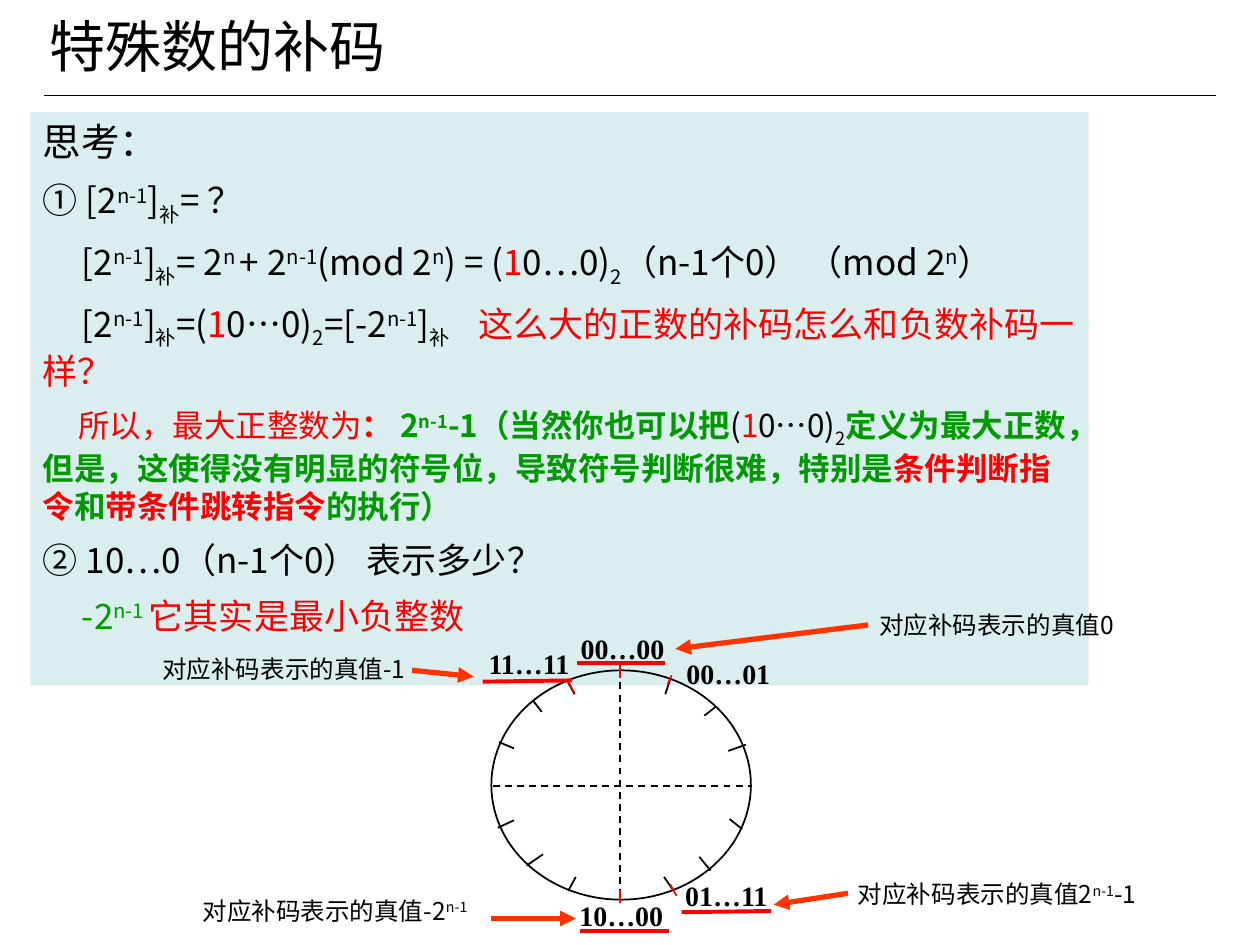
from typing import NamedTuple

from lxml.etree import SubElement
from pptx import Presentation
from pptx.dml.color import RGBColor
from pptx.enum.dml import MSO_LINE
from pptx.enum.shapes import MSO_CONNECTOR, MSO_SHAPE
from pptx.enum.text import MSO_ANCHOR, MSO_AUTO_SIZE, PP_ALIGN
from pptx.oxml.ns import qn
from pptx.util import Inches, Pt

BLACK = RGBColor(0x00, 0x00, 0x00)
WHITE = RGBColor(0xFF, 0xFF, 0xFF)
RED = RGBColor(0xFF, 0x00, 0x00)
ORANGE = RGBColor(0xFF, 0x33, 0x00)
GREEN = RGBColor(0x00, 0x99, 0x00)
PALE = RGBColor(0xDA, 0xED, 0xEF)
SANS, SERIF = "Noto Sans CJK SC", "Times New Roman"
SUP, SUB = 30, -25


class Run(NamedTuple):
    text: str
    color: RGBColor = BLACK
    base: int = 0
    bold: bool = False


class Para(NamedTuple):
    runs: list[Run]
    size: int = 20
    indent: float = 0


class Label(NamedTuple):
    x: float
    y: float
    w: float
    runs: list[Run]


class Line(NamedTuple):
    x1: float
    y1: float
    x2: float
    y2: float


def add_runs(p, runs: list[Run], size: float, face: str = SANS) -> None:
    for item in runs:
        r = p.add_run()
        r.text = item.text
        r.font.size, r.font.name, r.font.bold = Pt(size), face, item.bold
        r.font.color.rgb = item.color
        rPr = r._r.get_or_add_rPr()
        SubElement(rPr, qn("a:ea")).set("typeface", face)
        if item.base:
            rPr.set("baseline", str(item.base * 1000))


def place(sp, x: float, y: float, w: float, h: float) -> None:
    sp.left, sp.top, sp.width, sp.height = map(Inches, (x, y, w, h))


def set_frame(tf, anchor: MSO_ANCHOR, x: float, y: float, wrap: bool = True) -> None:
    tf.auto_size, tf.word_wrap, tf.vertical_anchor = MSO_AUTO_SIZE.NONE, wrap, anchor
    tf.margin_left = tf.margin_right = Inches(x)
    tf.margin_top = tf.margin_bottom = Inches(y)


def add_line(s, line: Line, color: RGBColor, width: float,
             arrow: bool = False, dashed: bool = False) -> None:
    sp = s.shapes.add_connector(MSO_CONNECTOR.STRAIGHT, *map(Inches, line))
    sp.line.color.rgb, sp.line.width = color, Pt(width)
    if dashed:
        sp.line.dash_style = MSO_LINE.DASH
    if arrow:
        SubElement(sp.line._get_or_add_ln(), qn("a:tailEnd")).set("type", "triangle")
    SubElement(sp._element.spPr, qn("a:effectLst"))


def add_label(s, label: Label, h: float, size: float, face: str, wrap: bool) -> None:
    sp = s.shapes.add_textbox(*map(Inches, (label.x, label.y, label.w, h)))
    set_frame(sp.text_frame, MSO_ANCHOR.TOP, 0.1, 0.05, wrap)
    add_runs(sp.text_frame.paragraphs[0], label.runs, size, face)


def add_body(sp, paras: list[Para]) -> None:
    tf = sp.text_frame
    set_frame(tf, MSO_ANCHOR.TOP, 0.1, 0.05)
    for i, para in enumerate(paras):
        p = tf.add_paragraph() if i else tf.paragraphs[0]
        pPr = p._p.get_or_add_pPr()
        pPr.set("marL", "0")
        pPr.set("indent", str(Inches(para.indent)))
        SubElement(pPr, qn("a:buNone"))
        p.alignment = PP_ALIGN.LEFT
        p.line_spacing = 1.0
        p.space_before = Pt(8 if i else 0)
        add_runs(p, para.runs, para.size)


# Recurring formula pieces
EXP = Run("n-1", base=SUP)
COMPLEMENT = [Run("[2"), EXP, Run("]"), Run("补", base=SUB)]
ONE_ZEROS = [Run("1", RED), Run("0…0)"), Run("2", base=SUB)]

BODY = [
    Para([Run("思考：")], 22),
    Para([Run("① [2"), *COMPLEMENT[1:], Run("= ？")]),
    Para([*COMPLEMENT, Run("= 2"), Run("n ", base=SUP), Run("+ 2"), EXP,
          Run("(mod 2"), Run("n", base=SUP), Run(") = ("), *ONE_ZEROS,
          Run("（n-1个0） （mod 2"), Run("n", base=SUP), Run("）")], indent=0.31),
    Para([*COMPLEMENT, Run("=("), *ONE_ZEROS, Run("=[-2"), EXP, Run("]"),
          Run("补　", base=SUB),
          Run(" 这么大的正数的补码怎么和负数补码一样？", RED)], indent=0.31),
    Para([Run("所以，最大正整数为", RED), Run("： ", RED, bold=True),
          Run("2", GREEN, bold=True), Run("n-1", GREEN, SUP, True),
          Run("-1（当然你也可以把", GREEN, bold=True), Run("("), *ONE_ZEROS,
          Run("定义为最大正数，但是，这使得没有明显的符号位，导致符号判断很难，特别是",
              GREEN, bold=True),
          Run("条件判断指令", RED, bold=True), Run("和", GREEN, bold=True),
          Run("带条件跳转指令", RED, bold=True), Run("的执行）", GREEN, bold=True)],
         18, 0.28),
    Para([Run("② 10…0（n-1个0） 表示多少？")]),
    Para([Run("-2", GREEN), Run("n-1 ", GREEN, SUP), Run("它其实是最小负整数", RED)],
         indent=0.31),
]

# Number wheel
AXES = [Line(3.91, 6.24, 5.97, 6.24), Line(4.92, 5.32, 4.92, 7.12)]
TICKS = [
    Line(4.5, 5.4, 4.56, 5.51), Line(5.28, 5.51, 5.32, 5.39),
    Line(5.78, 5.96, 5.92, 5.91), Line(5.79, 6.5, 5.89, 6.58),
    Line(5.27, 6.96, 5.34, 7.06), Line(4.31, 6.78, 4.18, 6.87),
    Line(4.08, 6.51, 3.95, 6.57), Line(4.08, 5.94, 3.96, 5.89),
    Line(4.51, 7.07, 4.57, 6.96), Line(5.59, 5.68, 5.68, 5.61),
    Line(5.55, 6.8, 5.64, 6.91), Line(4.23, 5.56, 4.3, 5.65),
]
RED_TICKS = [
    Line(4.92, 7.17, 4.92, 7.06), Line(5.37, 7.11, 5.32, 7.02),
    Line(4.56, 5.5, 4.51, 5.41), Line(4.92, 5.38, 4.92, 5.28),
    Line(5.3, 5.43, 5.33, 5.36),
]
CODES = [Label(x, y, 0.86, [Run(code, bold=True)]) for x, y, code in (
    (4.51, 4.96, "00…00"), (5.35, 5.16, "00…01"), (3.78, 5.08, "11…11"),
    (4.5, 7.08, "10…00"), (5.34, 6.92, "01…11"))]
UNDERLINES = [Line(3.83, 5.41, 4.54, 5.4), Line(4.58, 5.26, 5.28, 5.26),
              Line(4.6, 7.39, 5.31, 7.39), Line(5.41, 7.24, 6.12, 7.23)]

# True values pointed at the codes
VALUE = "对应补码表示的真值"
VALUES = [
    Label(1.19, 5.14, 2.53, [Run(VALUE + "-1")]),
    Label(1.51, 7.06, 3.01, [Run(VALUE + "-2"), EXP]),
    Label(6.88, 4.79, 2.75, [Run(VALUE + "0")]),
    Label(6.71, 6.93, 2.92, [Run(VALUE + "2"), EXP, Run("-1")]),
]
ARROWS = [Line(3.27, 5.32, 3.76, 5.37), Line(6.89, 4.96, 5.36, 5.15),
          Line(3.9, 7.29, 4.57, 7.29), Line(6.73, 7.09, 6.14, 7.18)]


def main() -> None:
    prs = Presentation()
    prs.slide_width, prs.slide_height = Inches(10), Inches(7.5)
    s = prs.slides.add_slide(prs.slide_layouts[1])

    # Title, rule and body
    title, body = s.shapes.title, s.placeholders[1]
    for sp, box, fill in ((title, (0.32, 0.06, 9.31, 0.6), WHITE),
                          (body, (0.24, 0.89, 8.4, 4.55), PALE)):
        place(sp, *box)
        sp.fill.solid()
        sp.fill.fore_color.rgb = fill
    set_frame(title.text_frame, MSO_ANCHOR.MIDDLE, 0.07, 0.03)
    p = title.text_frame.paragraphs[0]
    p.alignment = PP_ALIGN.LEFT
    add_runs(p, [Run("特殊数的补码")], 32)
    add_line(s, Line(0.35, 0.76, 9.65, 0.76), BLACK, 0.75)
    add_body(body, BODY)

    # Wheel with axes and ticks
    wheel = s.shapes.add_shape(MSO_SHAPE.OVAL, *map(Inches, (3.9, 5.32, 2.06, 1.82)))
    wheel.shadow.inherit = False
    wheel.fill.background()
    wheel.line.color.rgb, wheel.line.width = BLACK, Pt(1)
    for axis in AXES:
        add_line(s, axis, BLACK, 1, dashed=True)
    for tick in TICKS:
        add_line(s, tick, BLACK, 1)

    # Labels, underlines and arrows
    for code in CODES:
        add_label(s, code, 0.37, 16, SERIF, False)
    for value in VALUES:
        add_label(s, value, 0.34, 14, SANS, True)
    for underline in UNDERLINES:
        add_line(s, underline, RED, 2.25)
    for arrow in ARROWS:
        add_line(s, arrow, ORANGE, 3, arrow=True)
    for tick in RED_TICKS:
        add_line(s, tick, RED, 1)

    prs.save("out.pptx")


if __name__ == "__main__":
    main()
